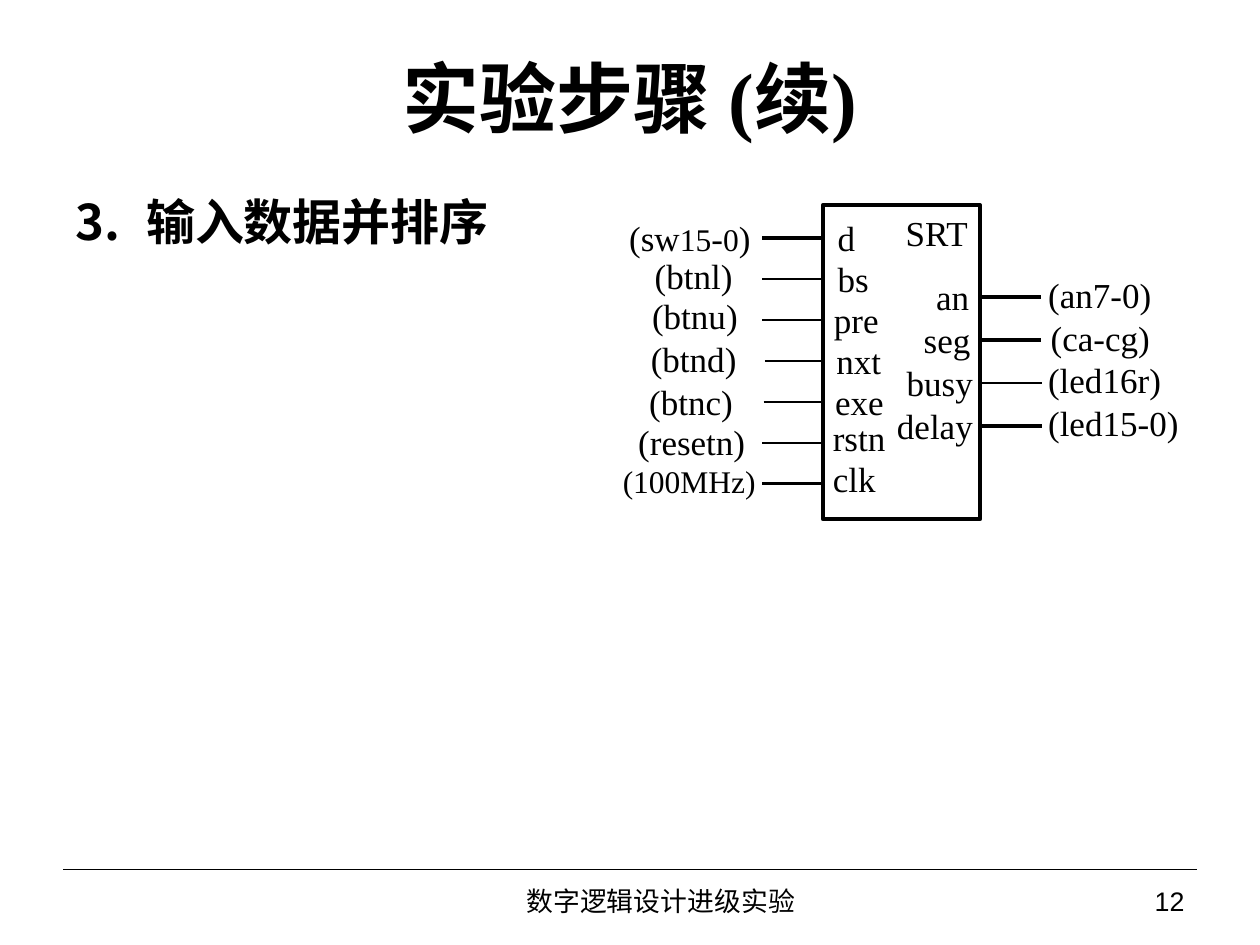
from dataclasses import dataclass

from lxml import etree
from pptx import Presentation
from pptx.dml.color import RGBColor
from pptx.enum.shapes import MSO_CONNECTOR, MSO_SHAPE
from pptx.enum.text import MSO_ANCHOR, MSO_AUTO_SIZE, PP_ALIGN
from pptx.oxml.ns import qn
from pptx.util import Inches, Pt

LEFT, CENTER, RIGHT = PP_ALIGN.LEFT, PP_ALIGN.CENTER, PP_ALIGN.RIGHT
TOP, MIDDLE = MSO_ANCHOR.TOP, MSO_ANCHOR.MIDDLE
NO_AUTOFIT, GROW = MSO_AUTO_SIZE.NONE, MSO_AUTO_SIZE.SHAPE_TO_FIT_TEXT
STRAIGHT = MSO_CONNECTOR.STRAIGHT
RECTANGLE = MSO_SHAPE.RECTANGLE


@dataclass(frozen=True)
class Theme:
    ink: RGBColor = RGBColor(0, 0, 0)
    font: str = "Times New Roman"
    footer_font: str = "Arial"
    title_size: float = 44
    body_size: float = 28
    signal_size: float = 20
    small_size: float = 18
    footer_size: float = 15.3
    pin_spacing: float = 29
    bus_width: float = 2.25
    wire_width: float = 1.5
    rule_width: float = 0.75


@dataclass(frozen=True)
class Signal:
    pin: str
    pin_left: float
    pin_width: float
    label: str
    label_left: float
    label_top: float
    label_width: float
    wire_left: float
    bus: bool = False


THEME = Theme()
WIRE_LENGTH = 0.48
INPUT_TOP, INPUT_STEP = 1.89, 0.325
OUTPUT_TOP, OUTPUT_STEP = 2.36, 0.34
COMPACT_PINS = ("rstn", "clk")
SMALL_PARTS = ("15", "0", "(100MHz)")

INPUTS = [
    Signal("d", 6.55, 0.36, "(sw|15|-|0|)", 4.84, 1.67, 1.27, 6.05, True),
    Signal("bs", 6.55, 0.47, "(btnl)", 5.06, 1.97, 0.89, 6.05),
    Signal("pre", 6.52, 0.58, "(btnu)", 5.07, 2.29, 0.89, 6.05),
    Signal("nxt", 6.54, 0.58, "(btnd)", 5.05, 2.63, 0.91, 6.07),
    Signal("exe", 6.53, 0.61, "(btnc)", 5.03, 2.97, 0.91, 6.06),
    Signal("rstn", 6.61, 0.44, "(resetn)", 4.85, 3.29, 1.28, 6.05),
    Signal("clk", 6.61, 0.36, "(100MHz)", 4.83, 3.62, 1.28, 6.05),
]
OUTPUTS = [
    Signal("an", 7.31, 0.48, "(an7-0)", 8.22, 2.12, 1.02, 7.78, True),
    Signal("seg", 7.21, 0.59, "(ca-cg)", 8.24, 2.46, 0.99, 7.78, True),
    Signal("busy", 7.07, 0.75, "(led16r)", 8.22, 2.80, 1.20, 7.79),
    Signal("delay", 7.00, 0.82, "(led15-0)", 8.22, 3.14, 1.25, 7.79, True),
]


def format_run(run, size, font=THEME.font, bold=False):
    run.font.size = Pt(size)
    run.font.name = font
    run.font.bold = bold
    run.font.color.rgb = THEME.ink


def place(shape, left, top, width, height):
    shape.left, shape.top = Inches(left), Inches(top)
    shape.width, shape.height = Inches(width), Inches(height)


def fill_placeholder(placeholder, text, size, box, alignment, anchor):
    place(placeholder, *box)
    frame = placeholder.text_frame
    frame.text = text
    frame.auto_size = NO_AUTOFIT
    frame.vertical_anchor = anchor
    paragraph = frame.paragraphs[0]
    paragraph.alignment = alignment
    paragraph.space_before = Pt(0)
    format_run(paragraph.runs[0], size, bold=True)
    return paragraph


def number_paragraph(paragraph, start):
    properties = paragraph._p.get_or_add_pPr()
    properties.set("marL", str(Inches(0.56)))
    properties.set("indent", str(Inches(-0.56)))
    color = etree.SubElement(properties, qn("a:buClr"))
    etree.SubElement(color, qn("a:srgbClr"), val=str(THEME.ink))
    etree.SubElement(properties, qn("a:buFont"), typeface="+mj-ea")
    etree.SubElement(properties, qn("a:buAutoNum"), type="arabicPeriod", startAt=str(start))


def add_line(shapes, left, top, length, width):
    line = shapes.add_connector(
        STRAIGHT, Inches(left), Inches(top), Inches(left + length), Inches(top))
    line.line.color.rgb = THEME.ink
    line.line.width = Pt(width)
    etree.SubElement(line._element.spPr, qn("a:effectLst"))


def add_text(shapes, text, box, alignment, anchor=TOP, wrap=True):
    shape = shapes.add_textbox(*(Inches(length) for length in box))
    frame = shape.text_frame
    frame.text = text
    frame.word_wrap = wrap
    frame.vertical_anchor = anchor
    frame.paragraphs[0].alignment = alignment
    return frame


def add_pin(shapes, signal, wire_top, alignment):
    compact = signal.pin in COMPACT_PINS
    top, height = (wire_top - 0.21, 0.33) if compact else (wire_top - 0.29, 0.51)
    box = (signal.pin_left, top, signal.pin_width, height)
    frame = add_text(shapes, signal.pin, box, alignment, MIDDLE if compact else TOP, False)
    frame.auto_size = GROW
    paragraph = frame.paragraphs[0]
    format_run(paragraph.runs[0], THEME.signal_size)
    if compact:
        frame.margin_left = frame.margin_right = frame.margin_top = frame.margin_bottom = 0
    else:
        paragraph.line_spacing = Pt(THEME.pin_spacing)


def add_label(shapes, signal, alignment):
    box = (signal.label_left, signal.label_top, signal.label_width, 0.44)
    paragraph = add_text(shapes, "", box, alignment).paragraphs[0]
    for part in signal.label.split("|"):
        run = paragraph.add_run()
        run.text = part
        format_run(run, THEME.small_size if part in SMALL_PARTS else THEME.signal_size)


def add_signals(shapes, signals, first_top, step, pin_alignment, label_alignment):
    for index, signal in enumerate(signals):
        wire_top = first_top + index * step
        width = THEME.bus_width if signal.bus else THEME.wire_width
        add_line(shapes, signal.wire_left, wire_top, WIRE_LENGTH, width)
        add_pin(shapes, signal, wire_top, pin_alignment)
        add_label(shapes, signal, label_alignment)


def add_module(shapes, name):
    module = shapes.add_shape(RECTANGLE, Inches(6.53), Inches(1.63), Inches(1.25), Inches(2.49))
    module.shadow.inherit = False
    module.fill.background()
    module.line.color.rgb = THEME.ink
    module.line.width = Pt(THEME.bus_width)
    frame = module.text_frame
    frame.text = name
    frame.word_wrap = False
    frame.vertical_anchor = TOP
    frame.paragraphs[0].alignment = RIGHT
    format_run(frame.paragraphs[0].runs[0], THEME.signal_size)


def add_footer(shapes, text, box, alignment):
    paragraph = add_text(shapes, text, box, alignment, MIDDLE).paragraphs[0]
    paragraph.line_spacing = 0.9
    format_run(paragraph.runs[0], THEME.footer_size, THEME.footer_font)


def main():
    presentation = Presentation()
    presentation.slide_width, presentation.slide_height = Inches(10), Inches(7.5)
    slide = presentation.slides.add_slide(presentation.slide_layouts[1])
    title, body = slide.placeholders
    fill_placeholder(title, "实验步骤 (续)", THEME.title_size, (0.5, 0.3, 9, 0.93), CENTER, MIDDLE)
    step = fill_placeholder(
        body, "输入数据并排序", THEME.body_size, (0.5, 1.47, 4.43, 2.56), LEFT, TOP)
    step.space_after = Pt(6)
    number_paragraph(step, 3)

    diagram = slide.shapes.add_group_shape().shapes
    add_module(diagram, "SRT")
    add_signals(diagram, INPUTS, INPUT_TOP, INPUT_STEP, LEFT, CENTER)
    add_signals(diagram, OUTPUTS, OUTPUT_TOP, OUTPUT_STEP, RIGHT, LEFT)

    add_line(slide.shapes, 0.5, 6.9, 9, THEME.rule_width)
    add_footer(slide.shapes, "12", (7.75, 6.98, 1.75, 0.37), RIGHT)
    add_footer(slide.shapes, "数字逻辑设计进级实验", (2.83, 6.98, 4.83, 0.37), CENTER)
    presentation.save("out.pptx")


if __name__ == "__main__":
    main()
